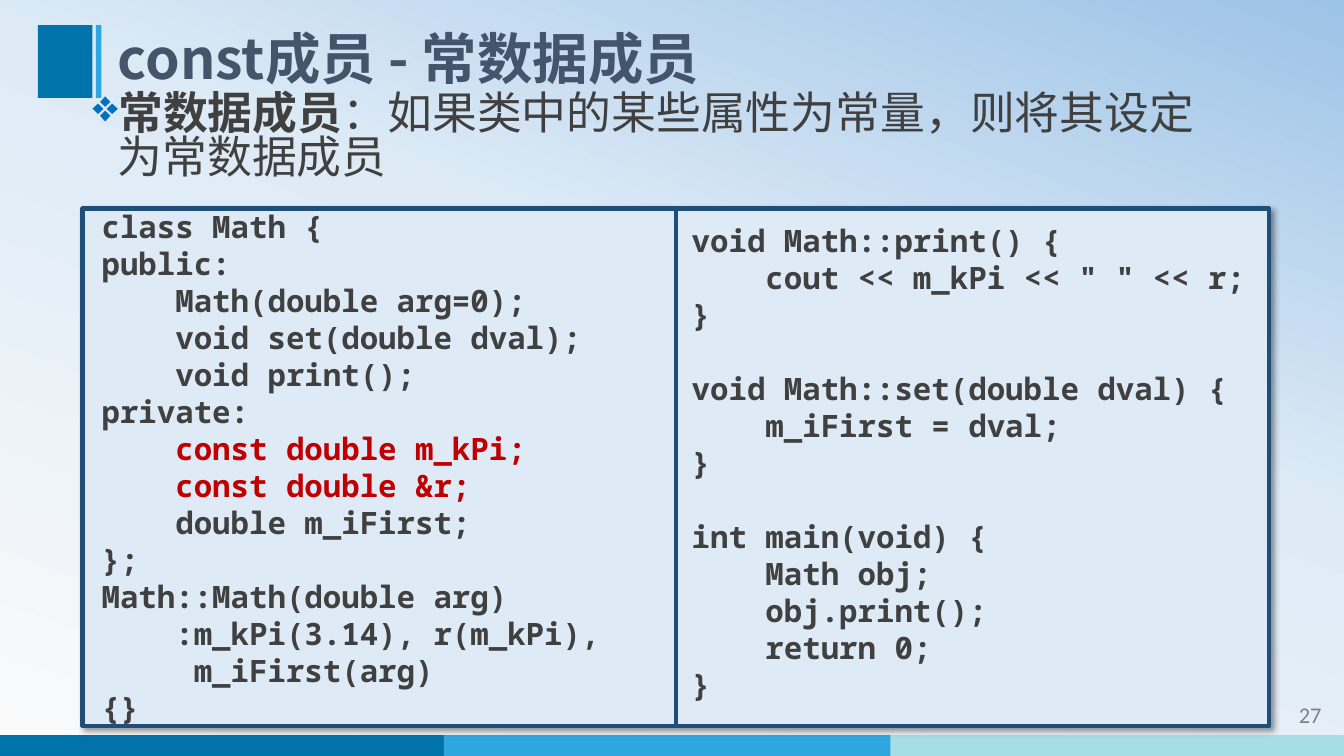
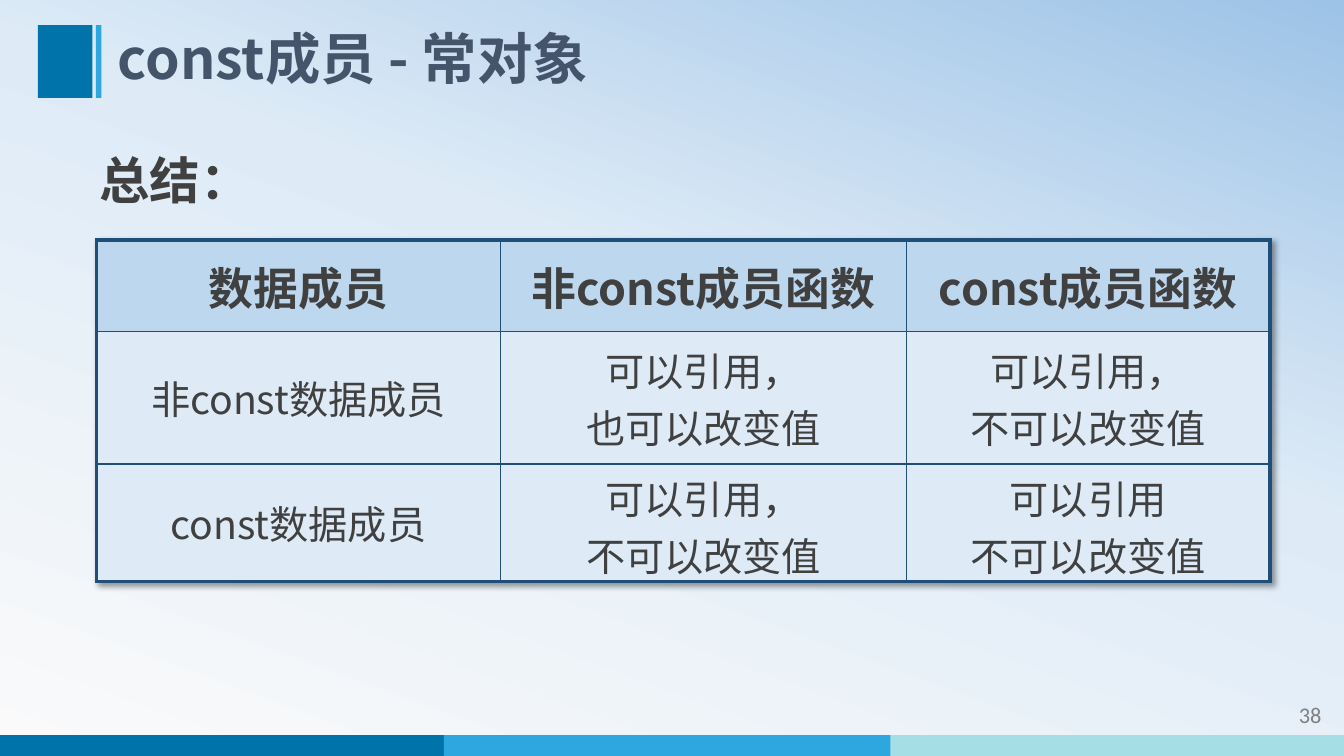
from copy import deepcopy
from pptx import Presentation
from pptx.dml.color import RGBColor
from pptx.enum.shapes import MSO_CONNECTOR as Line, MSO_SHAPE as Shape
from pptx.enum.text import MSO_ANCHOR as Anchor, PP_ALIGN as Align
from pptx.oxml import parse_xml as xml
from pptx.oxml.ns import nsdecls, qn
from pptx.util import Pt

rgb = RGBColor.from_string
SANS, MONO = "Noto Sans CJK SC", "Noto Sans Mono"
TEXT, NAVY, PALE, RED = "404040", "1F4E79", "DEEBF7", "C00000"
DEEP, BLUE, AQUA = "0073AB", "2EA7E0", "A5DEE4"
NS = nsdecls("a")
SHADOW = (f'<a:effectLst {NS}><a:outerShdw blurRad="50800" dist="38100" '
          'dir="2700000" algn="tl" rotWithShape="0"><a:srgbClr val="000000">'
          '<a:alpha val="40000"/></a:srgbClr></a:outerShdw></a:effectLst>')


def add_run(par, text, size, bold=False, hue=TEXT, face=SANS):
    run = par.add_run()
    run.text = text
    font = run.font
    font.size, font.bold, font.name = Pt(size), bold, face
    font.color.rgb = rgb(hue)
    font._element.find(qn("a:latin")).addnext(
        xml(f'<a:ea {NS} typeface="{face}"/>'))


def add_box(slide, *area):
    frame = slide.shapes.add_textbox(*map(Pt, area)).text_frame
    frame.word_wrap = True
    return frame


deck = Presentation()
deck.slide_width, deck.slide_height = Pt(960), Pt(540)

# Shared background
master = deck.slide_master
back = master.background.fill
back.gradient()
back.gradient_angle = 70
stops = master.element.find(".//" + qn("a:gsLst"))
stops.append(deepcopy(stops[0]))
for stop, (at, hue) in zip(back.gradient_stops,
                           [(0, "FAFAFA"), (0.58, PALE), (1, "9DC3E6")]):
    stop.position = at
    stop.color.rgb = rgb(hue)

# Shared bands, title and page number
BARS = [(-2, 525, 324, 15, DEEP), (317, 525, 324, 15, BLUE),
        (636, 525, 324, 15, AQUA),
        (27, 18, 39, 52, DEEP), (68.5, 18, 4, 52, BLUE)]
slides = []
for name, page in [("const成员 - 常数据成员", "27"), ("const成员 - 常对象", "38")]:
    slide = deck.slides.add_slide(deck.slide_layouts[5])
    slides.append(slide)
    for *area, hue in BARS:
        bar = slide.shapes.add_shape(Shape.RECTANGLE, *map(Pt, area))
        bar.shadow.inherit = False
        bar.fill.solid()
        bar.fill.fore_color.rgb = rgb(hue)
        bar.line.fill.background()

    title = slide.shapes.title
    title.left, title.top, title.width, title.height = map(Pt, (77, 18, 782, 52))
    title.text_frame.vertical_anchor = Anchor.MIDDLE
    par = title.text_frame.paragraphs[0]
    par.alignment, par.line_spacing = Align.LEFT, 0.9
    add_run(par, name, 39.6, True, "44546A")

    par = add_box(slide, 836.5, 497.5, 114.5, 29).paragraphs[0]
    par.alignment = Align.RIGHT
    add_run(par, page, 16, hue="808080", face="Calibri")

members, summary = slides

# Lead sentence
par = add_box(members, 59, 63.5, 830, 86).paragraphs[0]
props = par._p.get_or_add_pPr()
props.set("marL", str(Pt(18)))
props.set("indent", str(-Pt(18)))
props.append(xml(f'<a:buClr {NS}><a:srgbClr val="0070C0"/></a:buClr>'))
props.append(xml(f'<a:buChar {NS} char="❖"/>'))
par.line_spacing = 0.82
add_run(par, "常数据成员", 32, True)
add_run(par, "：如果类中的某些属性为常量，则将其设定为常数据成员", 32)

# Code panel with a middle rule
panel = members.shapes.add_shape(Shape.RECTANGLE, *map(Pt, (59, 149, 847.5, 369.5)))
panel.fill.solid()
panel.fill.fore_color.rgb = rgb(PALE)
panel._element.spPr.append(xml(SHADOW))
rule = members.shapes.add_connector(Line.STRAIGHT, 0, 0, 0, 0)
rule.begin_connect(panel, 0)
rule.end_connect(panel, 2)
for shape in (panel, rule):
    shape.line.color.rgb = rgb(NAVY)
    shape.line.width = Pt(3)
rule._element.spPr.append(xml(f"<a:effectLst {NS}/>"))

# Code in two columns
LEFT = """class Math {
public:
    Math(double arg=0);
    void set(double dval);
    void print();
private:
    const double m_kPi;
    const double &r;
    double m_iFirst;
};
Math::Math(double arg)
    :m_kPi(3.14), r(m_kPi),
     m_iFirst(arg)
{}"""
RIGHT = """void Math::print() {
    cout << m_kPi << " " << r;
}

void Math::set(double dval) {
    m_iFirst = dval;
}

int main(void) {
    Math obj;
    obj.print();
    return 0;
}"""
PITCH = 26.4
for code, area in [(LEFT, (65.5, 145, 419, 380)), (RIGHT, (487, 155, 420, 353.5))]:
    frame = add_box(members, *area)
    par, gap = frame.paragraphs[0], 0
    for row, line in enumerate(code.split("\n")):
        if not line:
            gap = PITCH
            continue
        if row:
            par = frame.add_paragraph()
        par.line_spacing, par.space_before = Pt(PITCH), Pt(gap)
        gap = 0
        add_run(par, line, 22, True, RED if "const " in line else TEXT, MONO)

# Summary heading
par = add_box(summary, 55.5, 81.5, 750, 65).paragraphs[0]
par._p.get_or_add_pPr().set("marL", str(Pt(8.5)))
par.line_spacing = 1.5
add_run(par, "总结：", 36, True)

# Summary table
CELLS = [["数据成员", "非const成员函数", "const成员函数"],
         ["非const数据成员", "可以引用，\n也可以改变值", "可以引用，\n不可以改变值"],
         ["const数据成员", "可以引用，\n不可以改变值", "可以引用\n不可以改变值"]]
WIDE, HIGH = (288.5, 290, 259.5), (65.5, 94.5, 84)
grid = summary.shapes.add_table(3, 3, Pt(69), Pt(171.5),
                                Pt(sum(WIDE)), Pt(sum(HIGH))).table
grid.horz_banding = False
grid._tbl.tblPr.insert(0, xml(SHADOW))
for i in range(3):
    grid.columns[i].width, grid.rows[i].height = Pt(WIDE[i]), Pt(HIGH[i])
for r, row in enumerate(CELLS):
    for c, text in enumerate(row):
        cell = grid.cell(r, c)
        cell.vertical_anchor = Anchor.MIDDLE
        cell.fill.solid()
        cell.fill.fore_color.rgb = rgb(PALE if r else "BDD7EE")
        # Thick outer edges, thin inner ones
        edges = {"lnL": c == 0, "lnR": c == 2, "lnT": r == 0, "lnB": r == 2}
        for n, (tag, outer) in enumerate(edges.items()):
            cell._tc.tcPr.insert(n, xml(
                f'<a:{tag} {NS} w="{Pt(3 if outer else 1)}"><a:solidFill>'
                f'<a:srgbClr val="{NAVY}"/></a:solidFill></a:{tag}>'))
        frame = cell.text_frame
        for n, line in enumerate(text.split("\n")):
            par = frame.add_paragraph() if n else frame.paragraphs[0]
            par.alignment = Align.CENTER
            add_run(par, line, 28 if r else 32, r == 0)

deck.save("out.pptx")
